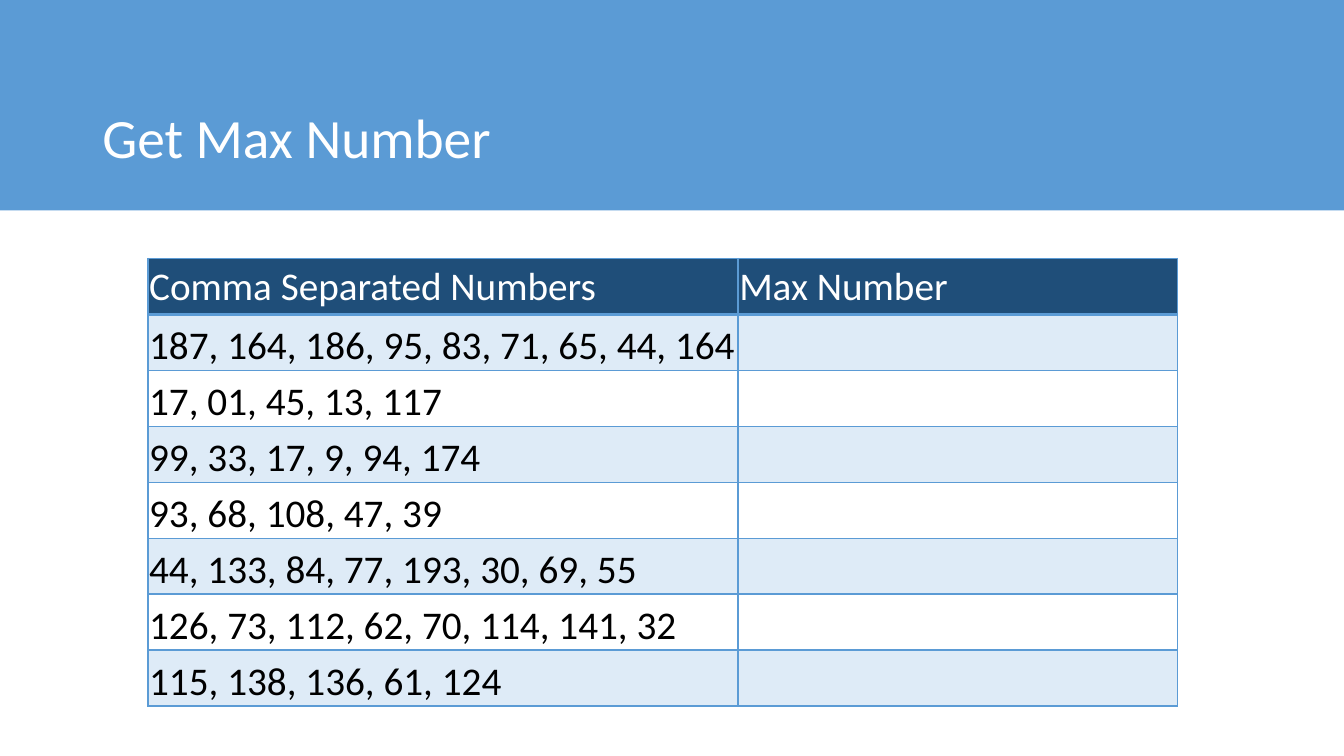
from lxml.etree import fromstring
from pptx import Presentation
from pptx.dml.color import RGBColor
from pptx.enum.shapes import MSO_SHAPE
from pptx.enum.text import MSO_ANCHOR
from pptx.oxml.ns import nsdecls
from pptx.util import Cm, Pt

TITLE = "Get Max Number"
HEADS = ("Comma Separated Numbers", "Max Number")
LISTS = (
    "187, 164, 186, 95, 83, 71, 65, 44, 164",
    "17, 01, 45, 13, 117",
    "99, 33, 17, 9, 94, 174",
    "93, 68, 108, 47, 39",
    "44, 133, 84, 77, 193, 30, 69, 55",
    "126, 73, 112, 62, 70, 114, 141, 32",
    "115, 138, 136, 61, 124",
)
HUES = {"blue": "5B9BD5", "navy": "1F4E79", "pale": "DEEBF7",
        "white": "FFFFFF", "black": "000000"}
WIDTHS = (Cm(14.87), Cm(11.08))
HIGH = Cm(1.41)


def paint(fill, hue):
    fill.solid()
    fill.fore_color.rgb = RGBColor.from_string(HUES[hue])


def write(frame, text, size, hue):
    run = frame.paragraphs[0].add_run()
    run.text = text
    run.font.name = "Calibri"
    run.font.size = Pt(size)
    run.font.color.rgb = RGBColor.from_string(HUES[hue])


def edge(cell, base):
    props = cell._tc.get_or_add_tcPr()
    sides = (("L", 1), ("R", 1), ("T", 1), ("B", base))
    for spot, (side, wide) in enumerate(sides):
        props.insert(spot, fromstring(
            f'<a:ln{side} {nsdecls("a")} w="{Pt(wide)}"><a:solidFill>'
            f'<a:srgbClr val="{HUES["blue"]}"/></a:solidFill></a:ln{side}>'))


deck = Presentation()
deck.slide_width, deck.slide_height = Cm(33.87), Cm(19.05)
slide = deck.slides.add_slide(deck.slide_layouts[6])

band = slide.shapes.add_shape(MSO_SHAPE.RECTANGLE, 0, 0, deck.slide_width, Cm(5.3))
band.shadow.inherit = False
paint(band.fill, "blue")
band.line.fill.background()

title = slide.shapes.add_textbox(Cm(2.33), Cm(0.9), Cm(29.21), Cm(3.68)).text_frame
title.word_wrap = True
title.vertical_anchor = MSO_ANCHOR.BOTTOM
title.margin_bottom = Cm(0.28)
title.paragraphs[0].line_spacing = 0.9
write(title, TITLE, 39.6, "white")

rows = [HEADS] + [(nums, "") for nums in LISTS]
grid = slide.shapes.add_table(len(rows), len(HEADS), Cm(3.73), Cm(6.51),
                              sum(WIDTHS), HIGH * len(rows)).table
for col, wide in zip(grid.columns, WIDTHS):
    col.width = wide
for r, texts in enumerate(rows):
    head = r == 0
    grid.rows[r].height = HIGH
    for c, text in enumerate(texts):
        cell = grid.cell(r, c)
        cell.margin_left = cell.margin_right = cell.margin_top = Cm(0.03)
        cell.margin_bottom = 0
        cell.vertical_anchor = MSO_ANCHOR.MIDDLE if head else MSO_ANCHOR.BOTTOM
        paint(cell.fill, "navy" if head else "pale" if r % 2 else "white")
        edge(cell, 2 if head else 1)
        if text:
            write(cell.text_frame, text, 28, "white" if head else "black")

deck.save("out.pptx")
